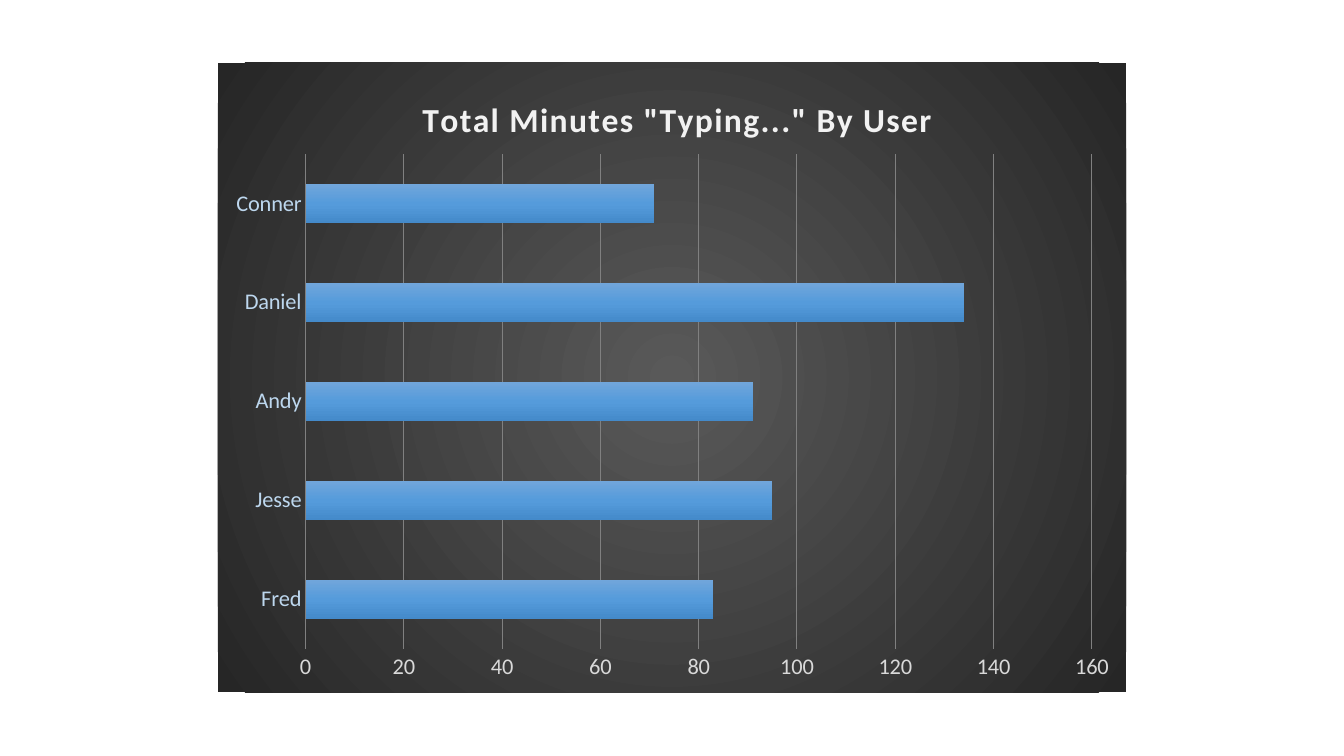
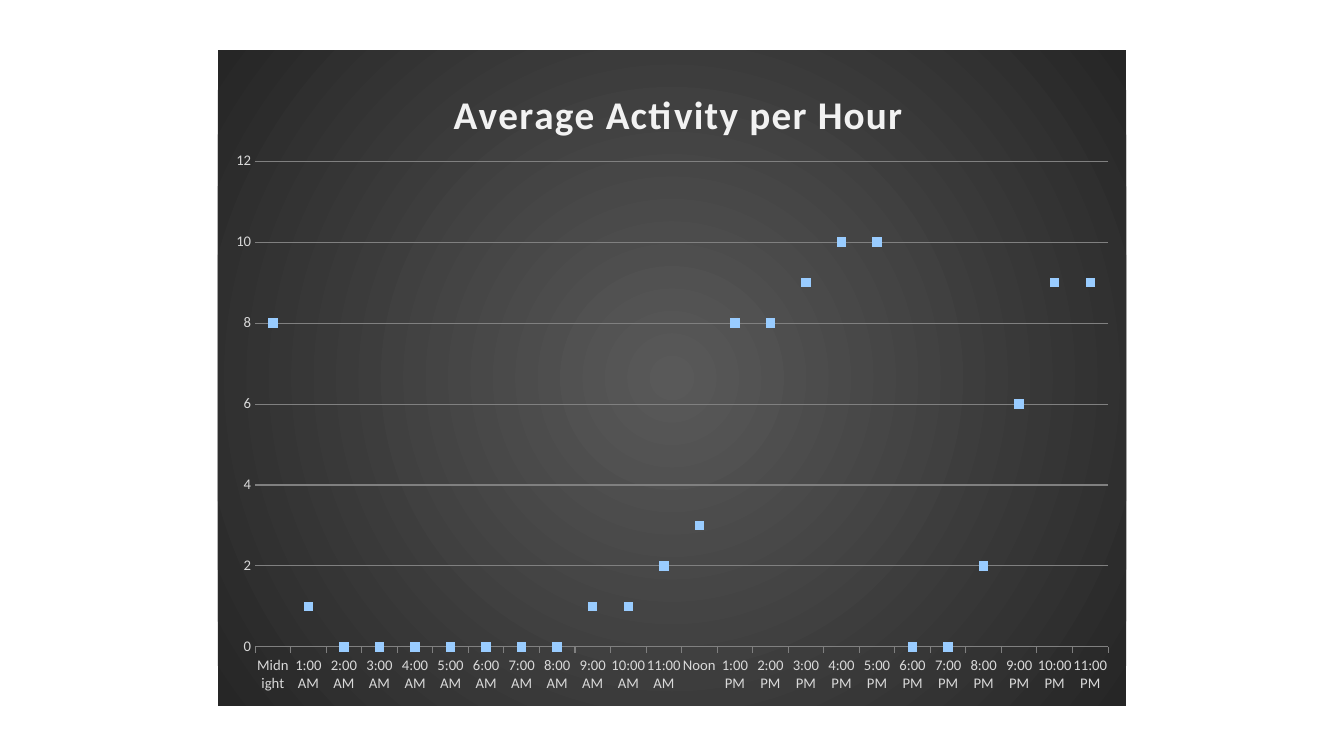
from dataclasses import dataclass
from typing import Optional

from lxml import etree
from pptx import Presentation
from pptx import util as u
from pptx.chart import data as chart_data
from pptx.dml.color import RGBColor
from pptx.enum import chart as ce
from pptx.oxml import parse_xml
from pptx.oxml.ns import nsdecls, qn

COLORS = {
    "title": "F2F2F2",
    "label": "D9D9D9",
    "user": "BDD7EE",
    "grid": "808080",
    "marker": "99CCFF",
}
FONT = "Calibri"
PANEL_LEFT, PANEL_WIDTH = 2.16, 9.01
PANEL_STOPS = [(0, "595959"), (100, "262626")]
PANEL_DIRECTION = (
    '<a:path path="circle">'
    '<a:fillToRect l="50000" t="50000" r="50000" b="50000"/></a:path>'
)
BAR_DIRECTION = '<a:lin ang="5400000" scaled="0"/>'
BAR_STOPS = [
    [(0, "71A6DB"), (50, "559BDB"), (100, "448ACA")],
    [(0, "F18C57"), (50, "F67B28"), (100, "E56C19")],
    [(0, "AFAFAF"), (50, "A5A5A5"), (100, "939393")],
]
HOURS = [
    {0: "Midnight", 12: "Noon"}.get(hour, f"{hour % 12}:00 {'AM' if hour < 12 else 'PM'}")
    for hour in range(24)
]


@dataclass
class Panel:
    title: str
    title_size: float
    title_at: tuple[float, float]
    kind: ce.XL_CHART_TYPE
    top: float
    height: float
    plot_at: tuple[float, float, float, float]
    categories: list[str]
    series: list[list[Optional[int]]]
    label_size: float
    category_color: str
    maximum: int
    step: int


PANELS = [
    Panel(
        title='Total Minutes "Typing..." By User',
        title_size=24,
        title_at=(4.13, 0.9),
        kind=ce.XL_CHART_TYPE.BAR_STACKED,
        top=0.62,
        height=6.25,
        plot_at=(3.03, 1.53, 7.8, 4.91),
        categories=["Fred", "Jesse", "Andy", "Daniel", "Conner"],
        series=[[83, 95, 91, 134, 71], [None] * 5, [None] * 5],
        label_size=16,
        category_color="user",
        maximum=160,
        step=20,
    ),
    Panel(
        title="Average Activity per Hour",
        title_size=28,
        title_at=(4.43, 0.8),
        kind=ce.XL_CHART_TYPE.LINE_MARKERS,
        top=0.5,
        height=6.5,
        plot_at=(2.53, 1.6, 8.46, 4.82),
        categories=HOURS,
        series=[[8, 1, 0, 0, 0, 0, 0, 0, 0, 1, 1, 2,
                 3, 8, 8, 9, 10, 10, 0, 0, 2, 6, 9, 9]],
        label_size=10.5,
        category_color="label",
        maximum=12,
        step=2,
    ),
]


def rgb(name: str) -> RGBColor:
    return RGBColor.from_string(COLORS[name])


def gradient_xml(stops: list[tuple[int, str]], direction: str) -> str:
    marks = "".join(
        f'<a:gs pos="{place * 1000}"><a:srgbClr val="{color}"/></a:gs>'
        for place, color in stops
    )
    return f'<a:gradFill {nsdecls("a")} rotWithShape="1"><a:gsLst>{marks}</a:gsLst>{direction}</a:gradFill>'


def style_font(font, size: float, color: str, bold: bool = False) -> None:
    font.name = FONT
    font.size = u.Pt(size)
    font.bold = bold
    font.color.rgb = rgb(color)


def write_title(chart, text: str, *, size: float, color: str, spacing: int) -> None:
    chart.has_title = True
    paragraph = chart.chart_title.text_frame.paragraphs[0]
    run = paragraph.add_run()
    run.text = text
    style_font(run.font, size, color, bold=True)
    run.font._element.set("spc", str(spacing))


def layout_element(panel: Panel, place: tuple[float, ...], inner: bool = False):
    layout = etree.Element(qn("c:layout"))
    manual = etree.SubElement(layout, qn("c:manualLayout"))
    if inner:
        etree.SubElement(manual, qn("c:layoutTarget"), val="inner")
    for mode in ("xMode", "yMode"):
        etree.SubElement(manual, qn(f"c:{mode}"), val="edge")
    fractions = [
        (place[0] - PANEL_LEFT) / PANEL_WIDTH,
        (place[1] - panel.top) / panel.height,
    ]
    if inner:
        fractions += [place[2] / PANEL_WIDTH, place[3] / panel.height]
    for tag, fraction in zip("xywh", fractions):
        etree.SubElement(manual, qn(f"c:{tag}"), val=f"{fraction:.4f}")
    return layout


def arrange(chart, panel: Panel) -> None:
    plot_area = chart._chartSpace.chart.plotArea
    title = chart.chart_title._element
    for parent in (plot_area, title):
        for old in parent.findall(qn("c:layout")):
            parent.remove(old)
    plot_area.insert(0, layout_element(panel, panel.plot_at, inner=True))
    title.find(qn("c:tx")).addnext(layout_element(panel, panel.title_at))


def paint_background(chart) -> None:
    gradient = gradient_xml(PANEL_STOPS, PANEL_DIRECTION)
    chart._chartSpace.chart.addnext(parse_xml(
        f'<c:spPr {nsdecls("c", "a")}>{gradient}<a:ln><a:noFill/></a:ln></c:spPr>'
    ))


def style_line(line, color: str) -> None:
    line.color.rgb = rgb(color)
    line.width = u.Pt(0.75)


def style_axes(chart, panel: Panel) -> None:
    values, categories = chart.value_axis, chart.category_axis
    for axis, color in ((values, "label"), (categories, panel.category_color)):
        style_font(axis.tick_labels.font, panel.label_size, color)
        axis.major_tick_mark = ce.XL_TICK_MARK.NONE
        axis.minor_tick_mark = ce.XL_TICK_MARK.NONE
        axis.format.line.fill.background()
    values.minimum_scale = 0
    values.maximum_scale = panel.maximum
    values.major_unit = panel.step
    values.has_major_gridlines = True
    style_line(values.major_gridlines.format.line, "grid")
    if panel.kind == ce.XL_CHART_TYPE.LINE_MARKERS:
        categories.major_tick_mark = ce.XL_TICK_MARK.OUTSIDE
        style_line(categories.format.line, "grid")


def style_bars(plot) -> None:
    plot.gap_width = 150
    plot.overlap = 100
    for series, stops in zip(plot.series, BAR_STOPS):
        properties = series._element.get_or_add_spPr()
        properties.insert(0, parse_xml(gradient_xml(stops, BAR_DIRECTION)))


def style_markers(plot) -> None:
    for series in plot.series:
        series.smooth = False
        series.format.line.fill.background()
        marker = series.marker
        marker.style = ce.XL_MARKER_STYLE.SQUARE
        marker.size = 6
        marker.format.fill.solid()
        marker.format.fill.fore_color.rgb = rgb("marker")
        marker.format.line.fill.background()


def draw_panel(slide, panel: Panel) -> None:
    numbers = chart_data.CategoryChartData(number_format="General")
    numbers.categories = panel.categories
    for index, values in enumerate(panel.series, 1):
        numbers.add_series(f"Series {index}", values)
    chart = slide.shapes.add_chart(
        panel.kind,
        u.Inches(PANEL_LEFT), u.Inches(panel.top),
        u.Inches(PANEL_WIDTH), u.Inches(panel.height),
        numbers,
    ).chart
    chart.has_legend = False
    chart.font.name = FONT
    chart.font.size = u.Pt(10)
    write_title(chart, panel.title, size=panel.title_size, color="title", spacing=100)
    paint_background(chart)
    style_axes(chart, panel)
    plot = chart.plots[0]
    plot.vary_by_categories = False
    if panel.kind == ce.XL_CHART_TYPE.BAR_STACKED:
        style_bars(plot)
    else:
        style_markers(plot)
    arrange(chart, panel)


def main() -> None:
    deck = Presentation()
    deck.slide_width = u.Inches(13.33)
    deck.slide_height = u.Inches(7.5)
    for panel in PANELS:
        draw_panel(deck.slides.add_slide(deck.slide_layouts[6]), panel)
    deck.save("out.pptx")


if __name__ == "__main__":
    main()
